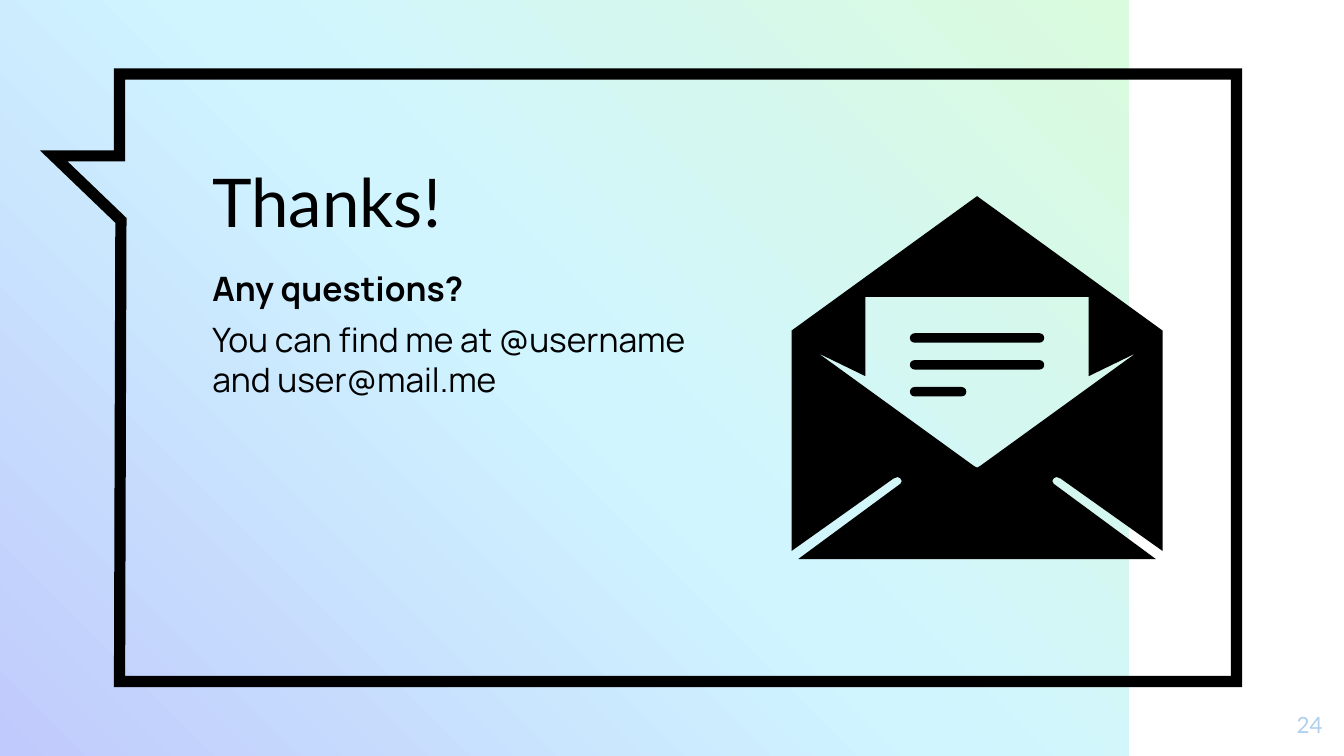
"""Build the closing slide: thanks, contact details and an open envelope."""
from copy import deepcopy

from pptx import Presentation
from pptx.dml.color import RGBColor
from pptx.enum.shapes import MSO_SHAPE as Shape
from pptx.enum.text import MSO_ANCHOR as Anchor, MSO_AUTO_SIZE as AutoSize, PP_ALIGN as Align
from pptx.oxml.ns import qn
from pptx.util import Inches, Pt
from lxml.etree import SubElement

COLORS = {
    "ink": "000000",
    "number": "AFCFEC",
    "lilac": "C0CAFC",
    "sky": "D0F5FF",
    "mint": "DAFBDD",
}
COLUMNS, ROWS = 100, 56.25
CELL = Inches(10) // COLUMNS


def grid(*cells):
    return [round(cell * CELL) for cell in cells]


def write(shape, lines, align, anchor, **font_format):
    frame = shape.text_frame
    frame_format = {"word_wrap": True, "auto_size": AutoSize.NONE, "vertical_anchor": anchor}
    for side in ("left", "top", "right", "bottom"):
        frame_format[f"margin_{side}"] = Inches(0.1)
    for name, value in frame_format.items():
        setattr(frame, name, value)
    color = RGBColor.from_string(COLORS[font_format.pop("color")])
    space = font_format.pop("space", Pt(0))
    for index, (text, bold) in enumerate(lines):
        paragraph = frame.add_paragraph() if index else frame.paragraphs[0]
        paragraph.alignment, paragraph.space_before = align, space
        run = paragraph.add_run()
        run.text = text
        for name, value in {**font_format, "bold": bold}.items():
            setattr(run.font, name, value)
        run.font.color.rgb = color


presentation = Presentation()
presentation.slide_width, presentation.slide_height = grid(COLUMNS, ROWS)
slide = presentation.slides.add_slide(presentation.slide_layouts[0])
shapes = slide.shapes
ink = RGBColor.from_string(COLORS["ink"])

panel = shapes.add_shape(Shape.RECTANGLE, *grid(0, 0, 84, ROWS))
panel.shadow.inherit = False
panel.line.fill.background()
panel.fill.gradient()
panel.fill.gradient_angle = 45
stop_list = panel.fill.gradient_stops[0]._gs.getparent()
stop_list.append(deepcopy(stop_list[-1]))
for index, (stop, name) in enumerate(zip(panel.fill.gradient_stops, ("lilac", "sky", "mint"))):
    stop.position = index / 2
    stop.color.rgb = RGBColor.from_string(COLORS[name])

bubble_points = [(8.9, 5.5), (92, 5.5), (92, 50.7), (8.9, 50.7), (9, 16.4), (4, 11.6), (8.9, 11.6)]
builder = shapes.build_freeform(*grid(*bubble_points[0]))
builder.add_line_segments([grid(*point) for point in bubble_points[1:]])
bubble = builder.convert_to_shape()
bubble.shadow.inherit = False
bubble.fill.background()
bubble.line.color.rgb, bubble.line.width = ink, Pt(6)
SubElement(bubble.line._ln, qn("a:miter"), lim="800000")

title, body = slide.placeholders
for placeholder, box in ((title, (14.8, 10.8, 39.6, 8.1)), (body, (14.8, 18.9, 39.6, 22.9))):
    placeholder.left, placeholder.top, placeholder.width, placeholder.height = grid(*box)
    shapes._spTree.append(placeholder._element)
write(title, [("Thanks!", False)], Align.LEFT, Anchor.BOTTOM,
      size=Pt(36), name="Lato", color="ink")
write(body, [("Any questions?", True), ("You can find me at @username and user@mail.me", False)],
      Align.LEFT, Anchor.TOP, size=Pt(18), name="Manrope", color="ink", space=Pt(6))

AXIS = 72.7
envelope_half = [(AXIS, 14.6), (58.9, 24.6), (58.9, 41), (66.5, 35.6), (66.8, 35.5),
                 (67, 35.6), (67.1, 35.8), (67, 36), (59.4, 41.6)]
letter_half = [(AXIS, 34.8), (72.5, 34.7), (60.9, 26.3), (64.4, 28), (64.4, 22.1)]
builder = None
for half in (envelope_half, letter_half):
    mirrored = [(2 * AXIS - x, y) for x, y in reversed(half[1:])]
    start, *rest = [grid(*point) for point in half + mirrored]
    if builder:
        builder.move_to(*start)
    else:
        builder = shapes.build_freeform(*start)
    builder.add_line_segments(rest)
letter_parts = [builder.convert_to_shape()]
for index, width in enumerate((10, 10, 4.2)):
    text_line = shapes.add_shape(Shape.ROUNDED_RECTANGLE, *grid(67.7, 24.8 + 2 * index, width, 0.7))
    text_line.adjustments[0] = 0.5
    letter_parts.append(text_line)
for part in letter_parts:
    part.shadow.inherit = False
    part.fill.solid()
    part.fill.fore_color.rgb = ink
    part.line.fill.background()

number = shapes.add_textbox(*grid(93.4, 51.9, 6, 4.3))
write(number, [("24", False)], Align.RIGHT, Anchor.TOP, size=Pt(12), name="Lato", color="number")

presentation.save("out.pptx")
